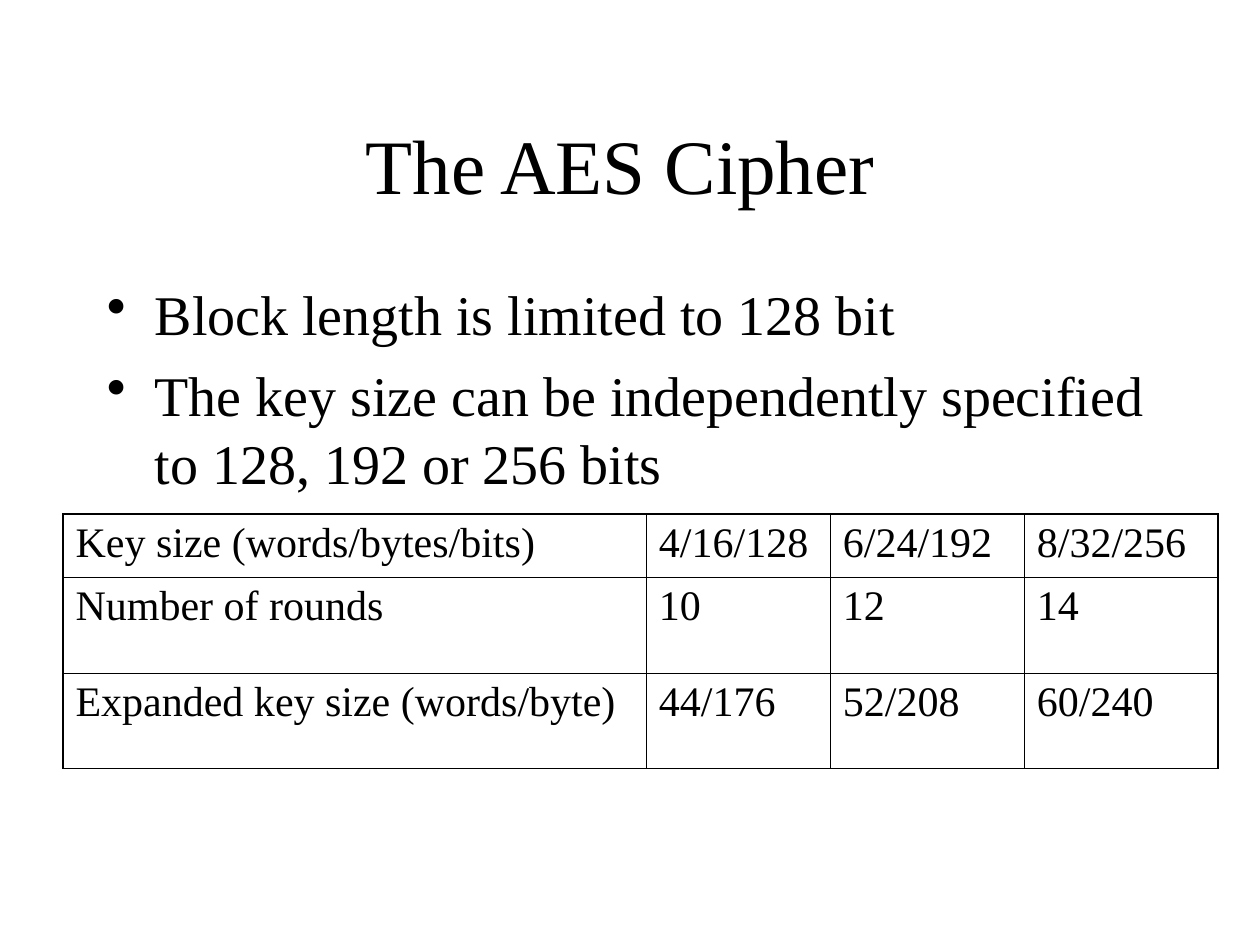
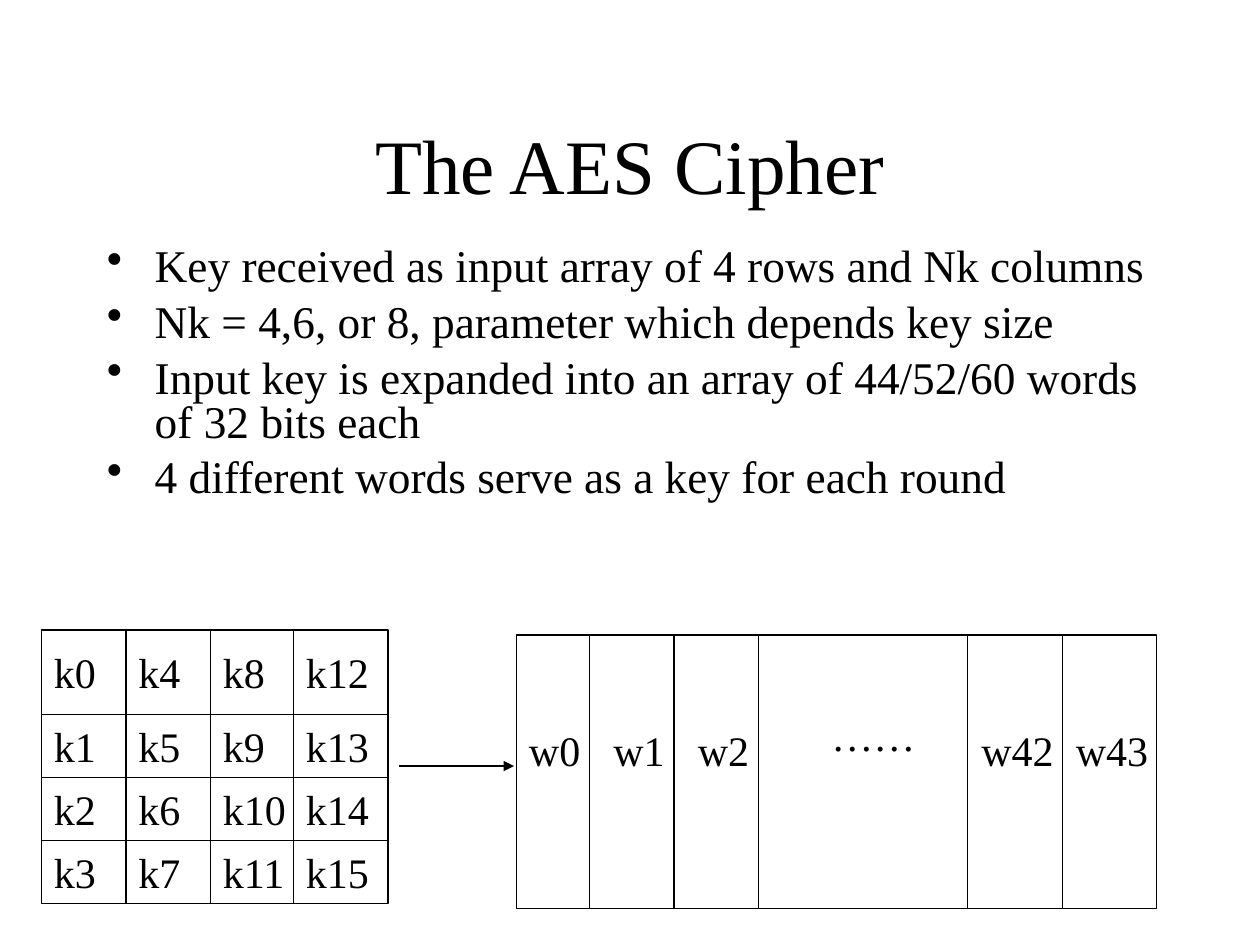
from typing import NamedTuple

import pptx
import pptx.dml.color
import pptx.enum.shapes
import pptx.enum.text
import pptx.oxml.ns
import pptx.util
from lxml import etree
from pptx.util import Inches

COLORS = {"ink": "000000", "paper": "FFFFFF"}
FONT = "Times New Roman"
LABEL_SIZE = 24
LABEL_HEIGHT = 0.5
DIGIT_WIDTH = 0.17
THIN, THICK = 0.45, 1.08
HAIRLINE = 0.75


class Box(NamedTuple):
    left: float
    top: float
    width: float
    height: float

    def lengths(self) -> list:
        return [Inches(value) for value in self]


class BulletStyle(NamedTuple):
    size: float
    space_before: float
    line_spacing: float


class Word(NamedTuple):
    text: str
    left: float
    top: float
    width: float


TITLE_BOX = Box(0.75, 0.67, 8.5, 1.25)


def rgb(name: str):
    return pptx.dml.color.RGBColor.from_string(COLORS[name])


def add_node(parent, tag: str, **attributes: str):
    return etree.SubElement(parent, pptx.oxml.ns.qn(tag), **attributes)


def write(paragraph, text: str, size: float) -> None:
    run = paragraph.add_run()
    run.text = text
    run.font.size = pptx.util.Pt(size)
    run.font.name = FONT
    run.font.color.rgb = rgb("ink")


def add_text_frame(slide, box: Box, wrap: bool = True):
    frame = slide.shapes.add_textbox(*box.lengths()).text_frame
    frame.word_wrap = wrap
    return frame


# Shared slide parts
def add_slide(deck, title: str):
    slide = deck.slides.add_slide(deck.slide_layouts[6])
    slide.background.fill.solid()
    slide.background.fill.fore_color.rgb = rgb("paper")
    frame = add_text_frame(slide, TITLE_BOX)
    frame.vertical_anchor = pptx.enum.text.MSO_ANCHOR.MIDDLE
    frame.paragraphs[0].alignment = pptx.enum.text.PP_ALIGN.CENTER
    write(frame.paragraphs[0], title, 44)
    return slide


def add_bullets(slide, box: Box, points: list[str], style: BulletStyle) -> None:
    frame = add_text_frame(slide, box)
    for index, point in enumerate(points):
        paragraph = frame.add_paragraph() if index else frame.paragraphs[0]
        paragraph.space_before = pptx.util.Pt(style.space_before)
        paragraph.line_spacing = style.line_spacing
        properties = paragraph._p.get_or_add_pPr()
        properties.set("marL", str(Inches(0.38)))
        properties.set("indent", str(-Inches(0.38)))
        bullet_color = add_node(properties, "a:buClr")
        add_node(bullet_color, "a:srgbClr", val=COLORS["ink"])
        add_node(properties, "a:buChar", char="•")
        write(paragraph, point, style.size)


def set_border(cell, side: str, width: float, position: int) -> None:
    properties = cell._tc.get_or_add_tcPr()
    border = add_node(properties, f"a:ln{side}", w=str(pptx.util.Pt(width)))
    add_node(add_node(border, "a:solidFill"), "a:srgbClr", val=COLORS["ink"])
    properties.insert(position, border)


def add_ruled_table(slide, box: Box, columns: list[float], heights: list[float],
                    rows: list[list[str]]) -> None:
    table = slide.shapes.add_table(len(rows), len(columns), *box.lengths()).table
    table.first_row = table.horz_banding = False
    for column, width in zip(table.columns, columns):
        column.width = Inches(width)
    for row, height in zip(table.rows, heights):
        row.height = Inches(height)
    for r, texts in enumerate(rows):
        for c, text in enumerate(texts):
            cell = table.cell(r, c)
            cell.fill.background()
            paragraph = cell.text_frame.paragraphs[0]
            paragraph.space_before = pptx.util.Pt(6)
            write(paragraph, text, LABEL_SIZE)
            outer = {"L": c == 0, "R": c == len(columns) - 1,
                     "T": r == 0, "B": r == len(rows) - 1}
            for position, (side, is_outer) in enumerate(outer.items()):
                set_border(cell, side, THICK if is_outer else THIN, position)


# Diagram parts
def add_frame(slide, box: Box) -> None:
    frame = slide.shapes.add_shape(
        pptx.enum.shapes.MSO_SHAPE.RECTANGLE, *box.lengths())
    frame.shadow.inherit = False
    frame.fill.background()
    frame.line.color.rgb = rgb("ink")
    frame.line.width = pptx.util.Pt(HAIRLINE)


def add_line(slide, x1: float, y1: float, x2: float, y2: float, arrow: bool = False) -> None:
    line = slide.shapes.add_connector(
        pptx.enum.shapes.MSO_CONNECTOR.STRAIGHT,
        Inches(x1), Inches(y1), Inches(x2), Inches(y2))
    line.line.color.rgb = rgb("ink")
    line.line.width = pptx.util.Pt(HAIRLINE)
    if arrow:
        add_node(line.line._get_or_add_ln(), "a:tailEnd", type="triangle")
    add_node(line._element.spPr, "a:effectLst")


def add_grid(slide, box: Box, inner_x: list[float], inner_y: list[float]) -> None:
    add_frame(slide, box)
    for x in inner_x:
        add_line(slide, x, box.top, x, box.top + box.height)
    for y in inner_y:
        add_line(slide, box.left, y, box.left + box.width, y)


def add_label(slide, word: Word) -> None:
    box = Box(word.left, word.top, word.width, LABEL_HEIGHT)
    frame = add_text_frame(slide, box, wrap=False)
    frame.auto_size = pptx.enum.text.MSO_AUTO_SIZE.SHAPE_TO_FIT_TEXT
    write(frame.paragraphs[0], word.text, LABEL_SIZE)


def build_key_sizes(deck) -> None:
    # The trailing space moves the centred title slightly left
    slide = add_slide(deck, "The AES Cipher ")
    add_bullets(slide, Box(0.75, 2.17, 8.5, 4.5), [
        "Block length is limited to 128 bit",
        "The key size can be independently specified to 128, 192 or 256 bits",
    ], BulletStyle(32, 8, 1.0))
    add_ruled_table(slide, Box(0.5, 4.08, 9.17, 2.02),
                    [4.63, 1.46, 1.54, 1.54], [0.5, 0.76, 0.76], [
        ["Key size (words/bytes/bits)", "4/16/128", "6/24/192", "8/32/256"],
        ["Number of rounds", "10", "12", "14"],
        ["Expanded key size (words/byte)", "44/176", "52/208", "60/240"],
    ])


def build_key_expansion(deck) -> None:
    slide = add_slide(deck, "The AES Cipher")
    add_bullets(slide, Box(0.75, 1.92, 8.5, 2.33), [
        "Key received as input array of 4 rows and Nk columns",
        "Nk = 4,6, or 8, parameter which depends key size",
        "Input key is expanded into an array of 44/52/60 words of 32 bits each",
        "4 different words serve as a key for each round",
    ], BulletStyle(25.9, 7, 0.8))

    # Input key bytes, numbered down each column
    key_lefts = [0.33, 1, 1.67, 2.33]
    key_tops = [5.08, 5.67, 6.17, 6.67]
    add_grid(slide, Box(0.33, 5, 2.75, 2.17), key_lefts[1:], key_tops[1:])
    for column, left in enumerate(key_lefts):
        for row, top in enumerate(key_tops):
            name = f"k{column * len(key_tops) + row}"
            width = 0.55 + DIGIT_WIDTH * (len(name) - 2)
            add_label(slide, Word(name, left, top, width))

    # Expanded key words
    add_grid(slide, Box(4.1, 5.04, 5.08, 2.17), [4.68, 5.35, 6.02, 7.68, 8.43], [])
    for word in [
        Word("w0", 4.1, 5.7, 0.63),
        Word("w1", 4.77, 5.7, 0.63),
        Word("w2", 5.44, 5.7, 0.63),
        Word("……", 6.5, 5.58, 0.92),
        Word("w42", 7.69, 5.7, 0.82),
        Word("w43", 8.44, 5.7, 0.82),
    ]:
        add_label(slide, word)
    add_line(slide, 3.17, 6.08, 4.08, 6.08, arrow=True)


def main() -> None:
    deck = pptx.Presentation()
    deck.slide_width, deck.slide_height = Inches(10), Inches(7.5)
    build_key_sizes(deck)
    build_key_expansion(deck)
    deck.save("out.pptx")


if __name__ == "__main__":
    main()
